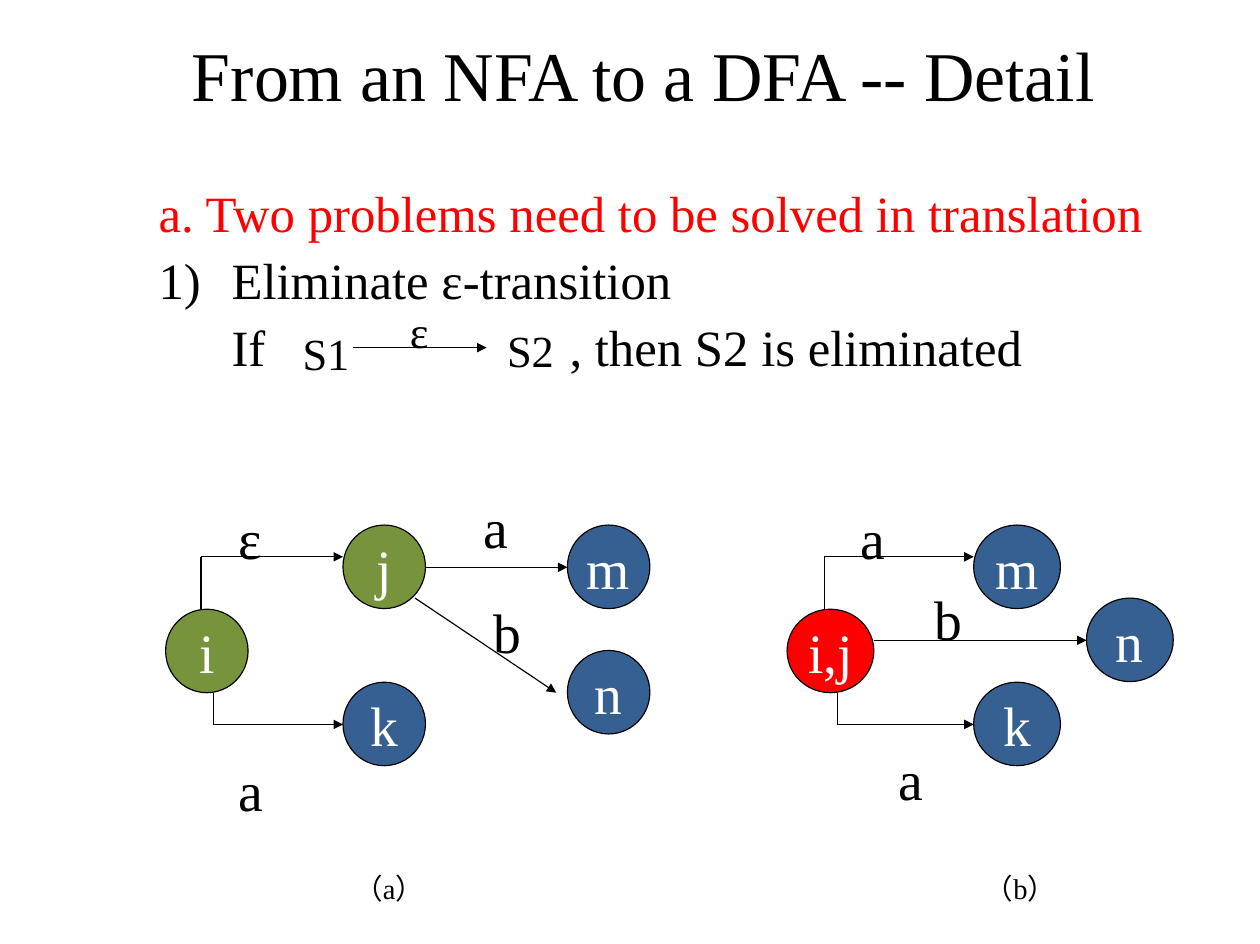
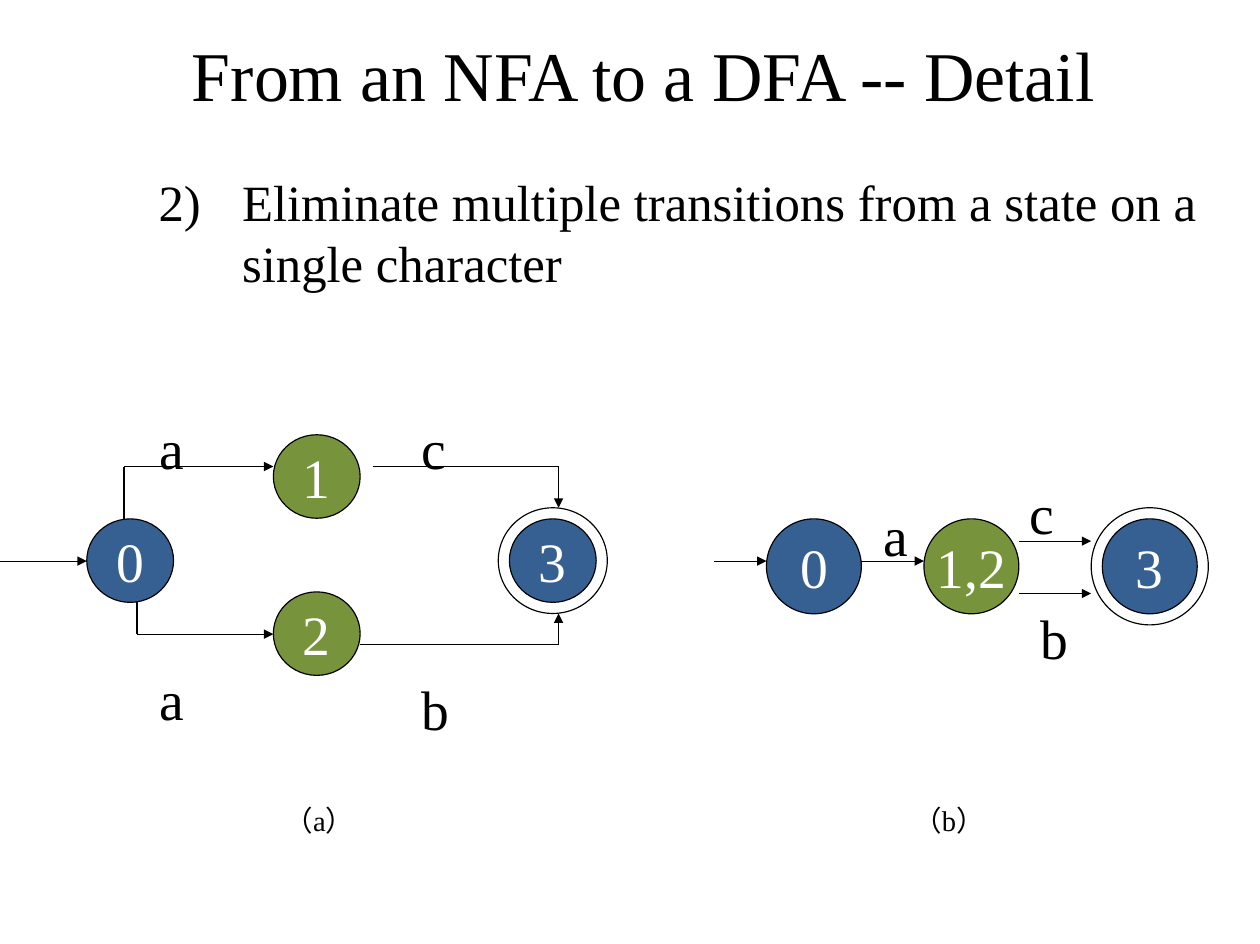
from lxml import etree
from pptx import Presentation
from pptx.dml.color import RGBColor
from pptx.enum.shapes import MSO_CONNECTOR, MSO_SHAPE
from pptx.enum.text import MSO_ANCHOR, MSO_AUTO_SIZE, PP_ALIGN
from pptx.oxml.ns import qn
from pptx.util import Pt

OVAL = MSO_SHAPE.OVAL
STRAIGHT = MSO_CONNECTOR.STRAIGHT
MIDDLE, TOP = MSO_ANCHOR.MIDDLE, MSO_ANCHOR.TOP
LEFT, CENTER = PP_ALIGN.LEFT, PP_ALIGN.CENTER
NO_FIT = MSO_AUTO_SIZE.NONE

FONT = "Times New Roman"
BLACK, WHITE, RED = "000000", "FFFFFF", "FF0000"
GREEN, BLUE = "77933C", "376092"
TITLE = "From an NFA to a DFA -- Detail"
LABEL_FRAME = {"word_wrap": True, "vertical_anchor": TOP, "margin_top": Pt(6.6)}
TITLE_FRAME = {"word_wrap": True, "vertical_anchor": MIDDLE, "auto_size": NO_FIT,
               "margin_left": 0, "margin_top": 0, "margin_right": 0,
               "margin_bottom": Pt(3.6)}
STATE_FRAME = {"word_wrap": False, "vertical_anchor": MIDDLE}

NEAR, FAR = 2.15, 4.87
ROWS = {"top": -53, "high": -7, "mid": 0, "low": 26, "bottom": 46}
RING = 7

slides = [
    {
        "body": (92.9, 112.3, 674.6, 191.5),
        "spacing": 0.9,
        "indent": 46,
        "paragraphs": [
            ("a. Two problems need to be solved in translation", RED, None, []),
            ("Eliminate ε-transition", BLACK, 1, []),
            ("\tIf\t, then S2 is eliminated", BLACK, None, [46, 259]),
        ],
        "routes": [[(222.5, 219), (306.7, 219)]],
        "labels": [("S1", 28, 183.6, 198.7), ("S2", 28, 312.5, 196.6),
                   ("ε", 28, 251.3, 185)],
        "base": 383.8,
        "caption_top": 542.2,
        "panels": [
            {"left": 104.4, "size": (52, 52.6), "entry": 0, "caption": ("（a）", NEAR),
             "states": [("i", GREEN, 0, "mid"), ("j", GREEN, NEAR, "top"),
                        ("k", BLUE, NEAR, "bottom"), ("m", BLUE, FAR, "top"),
                        ("n", BLUE, FAR, "low")],
             "edges": [("i", "j", "up", "ε", 0, 0), ("i", "k", "down", "a", 0, 0),
                       ("j", "m", "level", "a", 0, -9), ("j", "n", "slant", "b", 0, 0)]},
            {"left": 496.1, "size": (54.7, 52.6), "entry": 0, "caption": ("（b）", NEAR),
             "states": [("i,j", RED, 0, "mid"), ("m", BLUE, NEAR, "top"),
                        ("k", BLUE, NEAR, "bottom"), ("n", BLUE, 3.45, "high")],
             "edges": [("i,j", "m", "up", "a", 0, 0), ("i,j", "k", "down", "a", 24, -7),
                       ("i,j", "n", "level", "b", -21, 3)]},
        ],
    },
    {
        "body": (92.9, 100.8, 674.6, 92.9),
        "spacing": 1.0,
        "indent": 52.6,
        "paragraphs": [
            ("Eliminate multiple transitions from a state on a single character",
             BLACK, 2, []),
        ],
        "routes": [],
        "labels": [],
        "base": 326.9,
        "caption_top": 499,
        "panels": [
            {"left": 54.7, "size": (54.7, 52.6), "entry": 54.7, "caption": ("（a）", NEAR),
             "states": [("0", BLUE, 0, "mid"), ("1", GREEN, NEAR, "top"),
                        ("2", GREEN, NEAR, "bottom"), ("3", BLUE, FAR, "mid")],
             "edges": [("0", "1", "up", "a", 0, 0), ("0", "2", "down", "a", 0, 0),
                       ("1", "3", "over", "c", 0, 0), ("2", "3", "under", "b", 0, 0)]},
            {"left": 483.1, "size": (59.8, 59.8), "entry": 33, "caption": ("（b）", 1.43),
             "states": [("0", BLUE, 0, "mid"), ("1,2", GREEN, 1.66, "mid"),
                        ("3", BLUE, 3.54, "mid")],
             "edges": [("0", "1,2", "level", "a", 2, 0),
                       ("1,2", "3", "upper", "c", 0, 0), ("1,2", "3", "lower", "b", 0, 0)]},
        ],
    },
]


def rgb(value):
    return RGBColor.from_string(value)


def add_text(tf, p, text, size, color, align, frame):
    for name, value in frame.items():
        setattr(tf, name, value)
    p.alignment = align
    r = p.add_run()
    r.text = text
    for name, value in {"name": FONT, "size": Pt(size), "bold": False}.items():
        setattr(r.font, name, value)
    r.font.color.rgb = rgb(color)


prs = Presentation()
prs.slide_width, prs.slide_height = Pt(794.16), Pt(594.72)

for data in slides:
    s = prs.slides.add_slide(prs.slide_layouts[5])
    sp = s.shapes.title
    sp.left, sp.top, sp.width, sp.height = map(Pt, (121, 21.6, 585.4, 55.4))
    p = sp.text_frame.paragraphs[0]
    add_text(sp.text_frame, p, TITLE, 44, BLACK, LEFT, TITLE_FRAME)
    p.line_spacing = Pt(51)

    tf = s.shapes.add_textbox(*map(Pt, data["body"])).text_frame
    for i, (text, color, number, tabs) in enumerate(data["paragraphs"]):
        p = tf.add_paragraph() if i else tf.paragraphs[0]
        pPr = p._p.get_or_add_pPr()
        if number:
            pPr.set("marL", str(Pt(data["indent"])))
            pPr.set("indent", str(-Pt(data["indent"])))
            etree.SubElement(pPr, qn("a:buAutoNum"), type="arabicParenR",
                             startAt=str(number))
        if tabs:
            tab_list = etree.SubElement(pPr, qn("a:tabLst"))
            for pos in tabs:
                etree.SubElement(tab_list, qn("a:tab"), pos=str(Pt(pos)), algn="l")
        add_text(tf, p, text, 32, color, LEFT, LABEL_FRAME)
        p.line_spacing = data["spacing"]
        if i:
            p.space_before = Pt(7.6)

    ovals, routes, labels = [], list(data["routes"]), list(data["labels"])
    for panel in data["panels"]:
        left, base, (w, h) = panel["left"], data["base"], panel["size"]
        spots = {}
        for name, fill, column, row in panel["states"]:
            x, y = left + column * w, base + ROWS[row]
            spots[name] = x, y
            ovals.append((name, fill, x, y, w, h))
            if name == "3":
                ovals.append(("", None, x - RING, y - RING, w + 2 * RING, h + 2 * RING))
        if panel["entry"]:
            y = base + 26.6
            routes.append([(left - panel["entry"], y), (left, y)])
        for source, target, kind, text, dx, dy in panel["edges"]:
            (x, y), (u, v) = spots[source], spots[target]
            right, level, bend = x + w, v + 26.6, u + 31
            up, down = x + 0.43 * w, x + 0.58 * w
            route, label_x, label_y = {
                "up": ([(up, y), (up, v + 20), (u, v + 20)], x + 39, v - 20),
                "down": ([(down, y + h), (down, level), (u, level)], x + 39, v + 39.6),
                "level": ([(right, level), (u, level)], (right + u) / 2 - 15, v - 18),
                "slant": ([(x + 45.4, y + 46), (u - 7, level)], u - 54, v - 39.6),
                "over": ([(right + 8, y + 20), (bend, y + 20), (bend, v - RING)],
                         x + 86, y - 20),
                "under": ([(right, y + 33), (bend, y + 33), (bend, v + h + RING)],
                          x + 86, y + 46),
                "upper": ([(right, v + 14), (u - RING, v + 14)], u - 53, v - 32),
                "lower": ([(right, v + 47), (u - RING, v + 47)], u - 46, v + 47),
            }[kind]
            routes.append(route)
            labels.append((text, 35, label_x + dx, label_y + dy))
        caption, column = panel["caption"]
        labels.append((caption, 18, left + column * w, data["caption_top"]))

    for text, fill, *box in ovals:
        sp = s.shapes.add_shape(OVAL, *map(Pt, box))
        sp.shadow.inherit = False
        sp.line.color.rgb = rgb(BLACK)
        sp.line.width = Pt(0.75)
        if fill:
            sp.fill.solid()
            sp.fill.fore_color.rgb = rgb(fill)
            tf = sp.text_frame
            add_text(tf, tf.paragraphs[0], text, 35, WHITE, CENTER, STATE_FRAME)
        else:
            sp.fill.background()

    for route in routes:
        for start, end in zip(route, route[1:]):
            sp = s.shapes.add_connector(STRAIGHT, *map(Pt, start + end))
            sp.line.color.rgb = rgb(BLACK)
            sp.line.width = Pt(0.75)
            if end == route[-1]:
                etree.SubElement(sp.line._get_or_add_ln(), qn("a:tailEnd"),
                                 type="triangle")
            etree.SubElement(sp._element.spPr, qn("a:effectLst"))

    for text, size, x, y in labels:
        width = 100 if size == 18 else 46
        if text in ("S1", "S2"):
            width = 60
        height = size * 1.15 + 10
        tf = s.shapes.add_textbox(*map(Pt, (x, y, width, height))).text_frame
        add_text(tf, tf.paragraphs[0], text, size, BLACK, LEFT, LABEL_FRAME)

prs.save("out.pptx")
